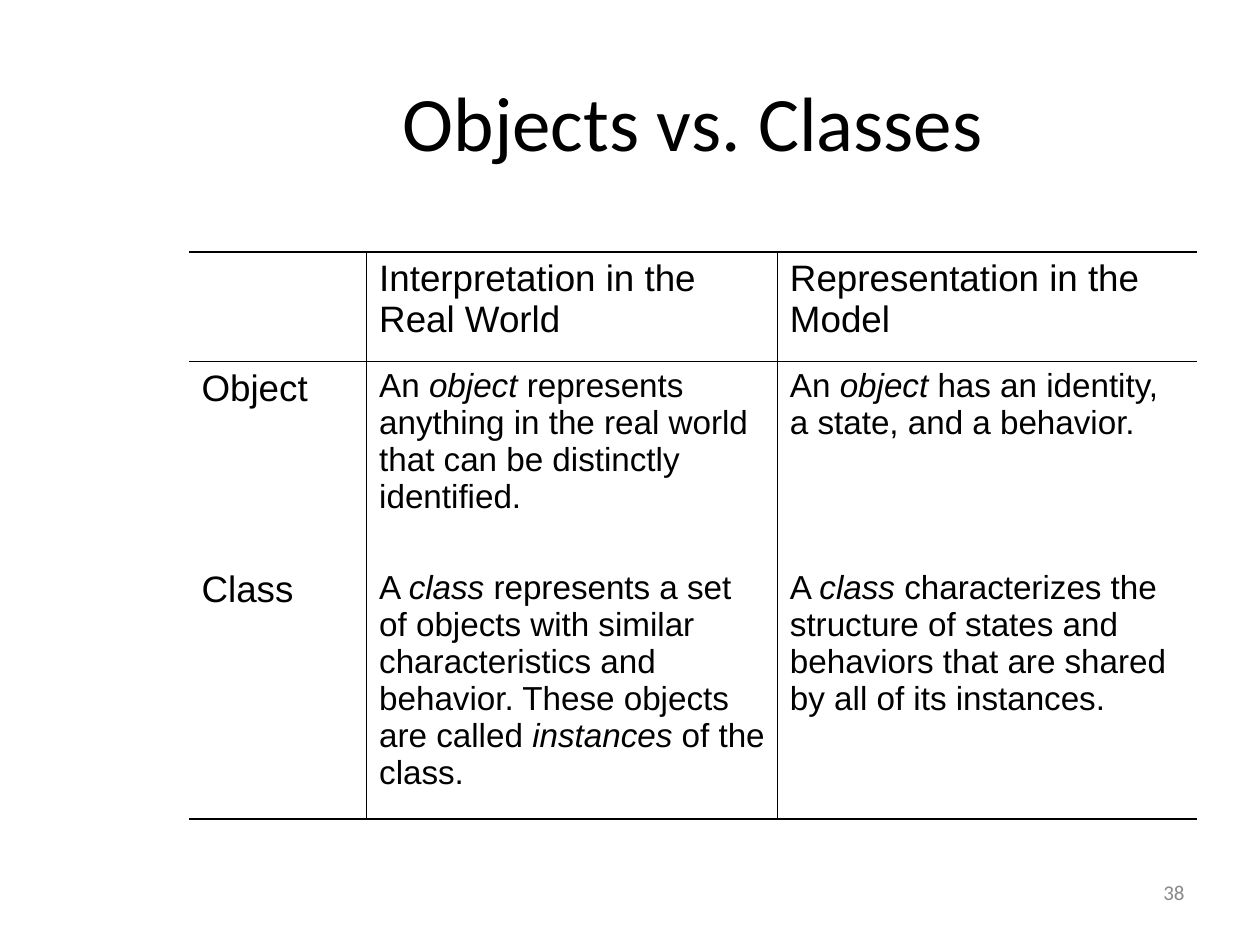
from dataclasses import dataclass

from lxml.etree import SubElement as Sub
from pptx import Presentation
from pptx.dml.color import RGBColor as Color
from pptx.enum.text import MSO_ANCHOR as Anchor, PP_ALIGN as Align
from pptx.oxml.ns import qn
from pptx.util import Pt

PX = 9144  # EMU in one px, 100 px to the inch


@dataclass(frozen=True)
class Theme:
    ink: str = "000000"
    gray: str = "898989"
    head: str = "Calibri"
    body: str = "Arial"
    title: int = 44
    label: int = 21
    text: int = 19
    small: int = 12
    thick: float = 1.08
    thin: float = 0.45


class Deck:
    def __init__(self, theme, wide, high):
        self.theme = theme
        self.prs = Presentation()
        self.prs.slide_width, self.prs.slide_height = wide * PX, high * PX
        self.slide = self.prs.slides.add_slide(self.prs.slide_layouts[5])

    def words(self, frame, text, font, size, tone, align):
        """Fill a frame run by run; stars enclose italic words."""
        frame.word_wrap = True
        para = frame.paragraphs[0]
        para.alignment = align
        for i, part in enumerate(text.split("*")):
            run = para.add_run()
            run.text = part
            run.font.name, run.font.size = font, Pt(size)
            run.font.italic = i % 2 == 1
            run.font.color.rgb = Color.from_string(tone)

    def title(self, text, x, y, w, h):
        box = self.slide.shapes.title
        box.left, box.top, box.width, box.height = (n * PX for n in (x, y, w, h))
        box.text_frame.vertical_anchor = Anchor.MIDDLE
        t = self.theme
        self.words(box.text_frame, text, t.head, t.title, t.ink, Align.CENTER)

    def number(self, text, x, y, w, h):
        box = self.slide.shapes.add_textbox(*(n * PX for n in (x, y, w, h)))
        box.text_frame.vertical_anchor = Anchor.MIDDLE
        t = self.theme
        self.words(box.text_frame, text, t.head, t.small, t.gray, Align.RIGHT)

    def edge(self, cell, side, width):
        """Draw one cell border, or clear it when width is 0."""
        line = Sub(cell._tc.get_or_add_tcPr(), qn("a:ln" + side), w=str(Pt(width)))
        if width:
            fill = Sub(line, qn("a:solidFill"))
            Sub(fill, qn("a:srgbClr"), val=self.theme.ink)
        else:
            Sub(line, qn("a:noFill"))

    def table(self, rows, x, y, wide, high):
        t = self.theme
        size = (x, y, sum(wide), sum(high))
        grid = self.slide.shapes.add_table(
            len(high), len(wide), *(n * PX for n in size)).table
        grid.first_row = grid.horz_banding = False
        for col, w in zip(grid.columns, wide):
            col.width = w * PX
        for row, h in zip(grid.rows, high):
            row.height = h * PX

        # Rules: thick outside, thin under the head row and between columns
        across = [t.thick, t.thin] + [0] * (len(high) - 2) + [t.thick]
        down = [0] + [t.thin] * (len(wide) - 1) + [0]
        for r, row in enumerate(rows):
            for c, text in enumerate(row):
                cell = grid.cell(r, c)
                sides = zip("LRTB", (down[c], down[c + 1], across[r], across[r + 1]))
                for side, width in sides:
                    self.edge(cell, side, width)
                cell.fill.background()
                pts = t.text if r and c else t.label
                self.words(cell.text_frame, text, t.body, pts, t.ink, Align.LEFT)

    def save(self):
        self.prs.save("out.pptx")


ROWS = [
    ["", "Interpretation in the Real World", "Representation in the Model"],
    ["Object",
     "An *object* represents anything in the real world that can be "
     "distinctly identified.",
     "An *object *has an identity, a state, and a behavior."],
    ["Class",
     "A *class* represents a set of objects with similar characteristics and "
     "behavior. These objects are called *instances* of the class.",
     "A *class *characterizes the structure of states and behaviors that are "
     "shared by all of its instances."],
]


def main():
    deck = Deck(Theme(), 1000, 750)
    # Page number and title
    deck.number("38", 717, 683, 233, 50)
    deck.title("Objects vs. Classes", 150, 33, 800, 125)
    # Comparison table
    deck.table(ROWS, 150, 200, [141, 326, 333], [87, 160, 203])
    deck.save()


if __name__ == "__main__":
    main()
